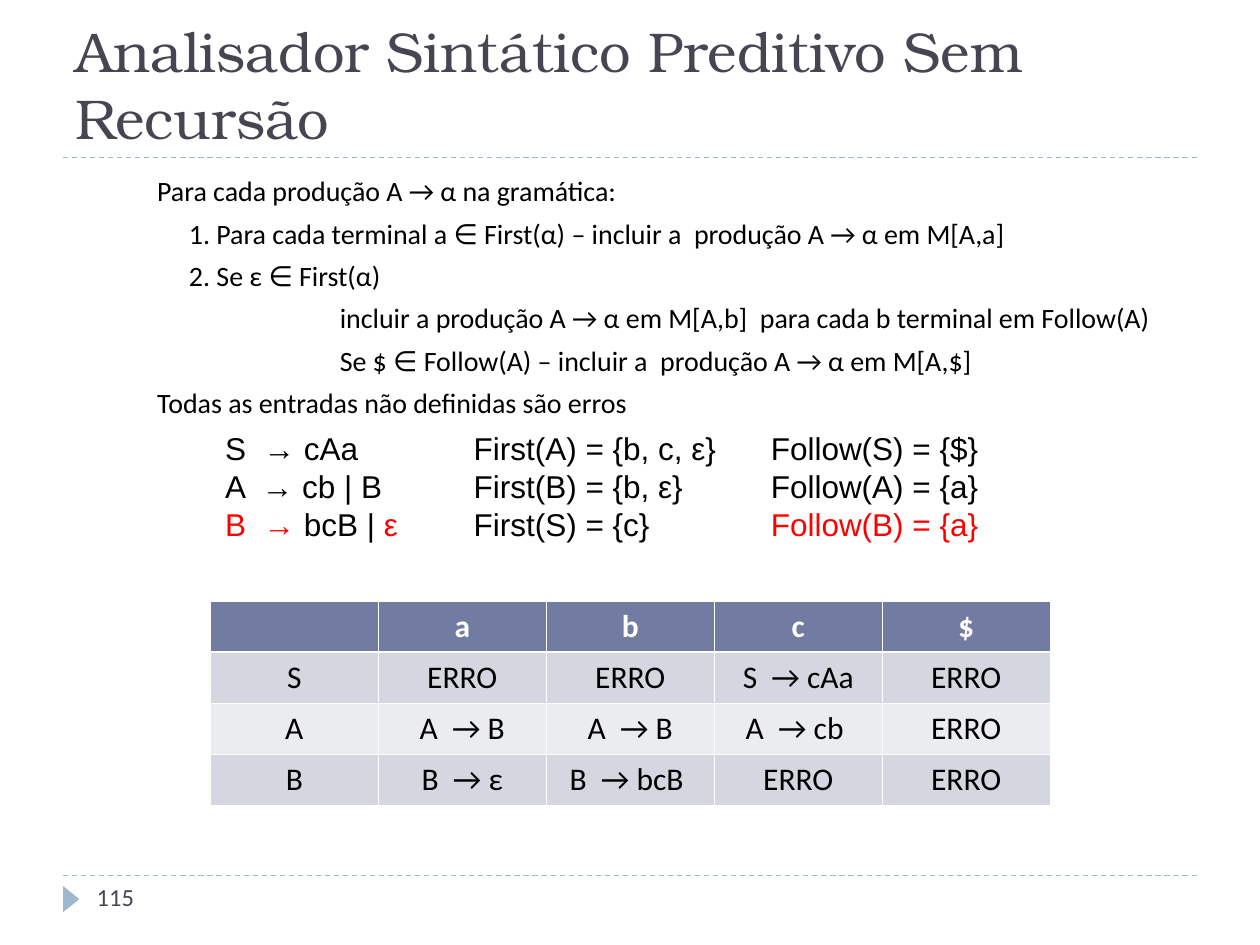
"""Build the slide on the non-recursive predictive parser and its parsing table."""
from lxml.etree import SubElement
from pptx import Presentation
from pptx.dml.color import RGBColor
from pptx.enum.dml import MSO_LINE
from pptx.enum.shapes import MSO_CONNECTOR, MSO_SHAPE
from pptx.enum.text import MSO_ANCHOR, PP_ALIGN
from pptx.oxml.ns import qn
from pptx.util import Cm, Pt

COLORS = {
    "title": "464653",
    "text": "000000",
    "highlight": "FF0000",
    "rule": "9FB8CD",
    "header": "727CA3",
    "odd_row": "D5D7E0",
    "even_row": "EBECF0",
    "white": "FFFFFF",
}
ALGORITHM = [
    (1.65, "Para cada produção A → α na gramática:"),
    (2.29, "1. Para cada terminal a ∈ First(α) – incluir a  produção A → α em M[A,a]"),
    (2.29, "2. Se ε ∈ First(α)"),
    (5.33, "incluir a produção A → α em M[A,b]  para cada b terminal em Follow(A)"),
    (5.33, "Se $ ∈ Follow(A) – incluir a  produção A → α em M[A,$]"),
    (1.65, "Todas as entradas não definidas são erros"),
]
GRAMMAR = [
    [("S  → cAa", "text")],
    [("A  → cb | B", "text")],
    [("B  → ", "highlight"), ("bcB | ", "text"), ("ε", "highlight")],
]
FIRST_SETS = [
    [("First(A) = {b, c, ε}", "text")],
    [("First(B) = {b, ε}", "text")],
    [("First(S) = {c}", "text")],
]
FOLLOW_SETS = [
    [("Follow(S) = {$}", "text")],
    [("Follow(A) = {a}", "text")],
    [("Follow(B) = {a}", "highlight")],
]
PARSING_TABLE = [
    ["", "a", "b", "c", "$"],
    ["S", "ERRO", "ERRO", "S  → cAa", "ERRO"],
    ["A", "A  → B", "A  → B", "A  → cb ", "ERRO"],
    ["B", "B  → ε", "B  → bcB ", "ERRO", "ERRO"],
]


def rgb(color):
    return RGBColor.from_string(COLORS[color])


def add_run(paragraph, text, size, font, color="text", bold=False):
    run = paragraph.add_run()
    run.text = text
    run.font.size = Pt(size)
    run.font.name = font
    run.font.bold = bold
    run.font.color.rgb = rgb(color)


def add_text(slide, left, top, width, height, lines, size, font):
    """Add a text box whose lines are lists of (text, color) runs."""
    frame = slide.shapes.add_textbox(Cm(left), Cm(top), Cm(width), Cm(height)).text_frame
    frame.word_wrap = True
    for index, line in enumerate(lines):
        paragraph = frame.add_paragraph() if index else frame.paragraphs[0]
        for text, color in line:
            add_run(paragraph, text, size, font, color)
    return frame


def add_title(slide, text):
    title = slide.shapes.title
    title.left, title.top, title.width, title.height = Cm(1.27), Cm(0.43), Cm(22.86), Cm(2.74)
    frame = title.text_frame
    frame.word_wrap = True
    frame.vertical_anchor = MSO_ANCHOR.BOTTOM
    frame.paragraphs[0].alignment = PP_ALIGN.LEFT
    add_run(frame.paragraphs[0], text, 32, "TeX Gyre Bonum", "title")


def add_rule(slide, y):
    rule = slide.shapes.add_connector(MSO_CONNECTOR.STRAIGHT, Cm(1.27), Cm(y), Cm(24.13), Cm(y))
    rule.line.color.rgb = rgb("rule")
    rule.line.width = Pt(0.75)
    rule.line.dash_style = MSO_LINE.DASH
    SubElement(rule._element.spPr, qn("a:effectLst"))


def add_page_marker(slide):
    marker = slide.shapes.add_shape(
        MSO_SHAPE.ISOSCELES_TRIANGLE, Cm(1.17), Cm(17.96), Cm(0.53), Cm(0.33))
    marker.rotation = 90
    marker.shadow.inherit = False
    marker.fill.solid()
    marker.fill.fore_color.rgb = rgb("rule")
    marker.line.fill.background()


def add_algorithm(slide):
    """Add the table-filling steps, each indented by its depth."""
    lines = [[(step, "text")] for _, step in ALGORITHM]
    frame = add_text(slide, 1.27, 3.38, 22.86, 13.72, lines, 16, "Calibri")
    for index, (indent, _) in enumerate(ALGORITHM):
        paragraph = frame.paragraphs[index]
        paragraph._p.get_or_add_pPr().set("marL", str(Cm(indent)))
        if index:
            paragraph.space_before = Pt(5)


def add_border(cell, side, width):
    line = SubElement(cell._tc.get_or_add_tcPr(), qn(f"a:ln{side}"), w=str(Pt(width)))
    SubElement(SubElement(line, qn("a:solidFill")), qn("a:srgbClr"), val=COLORS["white"])


def format_cell(cell, text, row):
    """Fill one cell, with a thicker border under the header row."""
    widths = {"L": 0.45, "R": 0.45,
              "T": 1.47 if row == 1 else 0.45,
              "B": 1.47 if row == 0 else 0.45}
    for side, width in widths.items():
        add_border(cell, side, width)
    cell.fill.solid()
    band = "odd_row" if row % 2 else "even_row"
    cell.fill.fore_color.rgb = rgb(band if row else "header")
    if text:
        paragraph = cell.text_frame.paragraphs[0]
        paragraph.alignment = PP_ALIGN.CENTER
        add_run(paragraph, text, 18, "Calibri", "text" if row else "white", bold=row == 0)


def add_parsing_table(slide):
    table = slide.shapes.add_table(
        len(PARSING_TABLE), len(PARSING_TABLE[0]),
        Cm(4.24), Cm(12.12), Cm(16.93), Cm(4.11)).table
    for row, entries in enumerate(PARSING_TABLE):
        for column, entry in enumerate(entries):
            format_cell(table.cell(row, column), entry, row)


def main():
    presentation = Presentation()
    presentation.slide_width, presentation.slide_height = Cm(25.4), Cm(19.05)
    slide = presentation.slides.add_slide(presentation.slide_layouts[5])
    for y in (17.65, 3.18):
        add_rule(slide, y)
    add_page_marker(slide)
    add_title(slide, "Analisador Sintático Preditivo Sem Recursão")
    add_algorithm(slide)
    add_text(slide, 1.7, 17.65, 5.51, 1.02, [[("115", "title")]], 14, "Calibri")
    columns = [(4.29, 4.19, GRAMMAR), (9.3, 5.79, FIRST_SETS), (15.29, 5.79, FOLLOW_SETS)]
    for left, width, lines in columns:
        add_text(slide, left, 8.53, width, 2.54, lines, 18, "Arial")
    add_parsing_table(slide)
    presentation.save("out.pptx")


if __name__ == "__main__":
    main()
